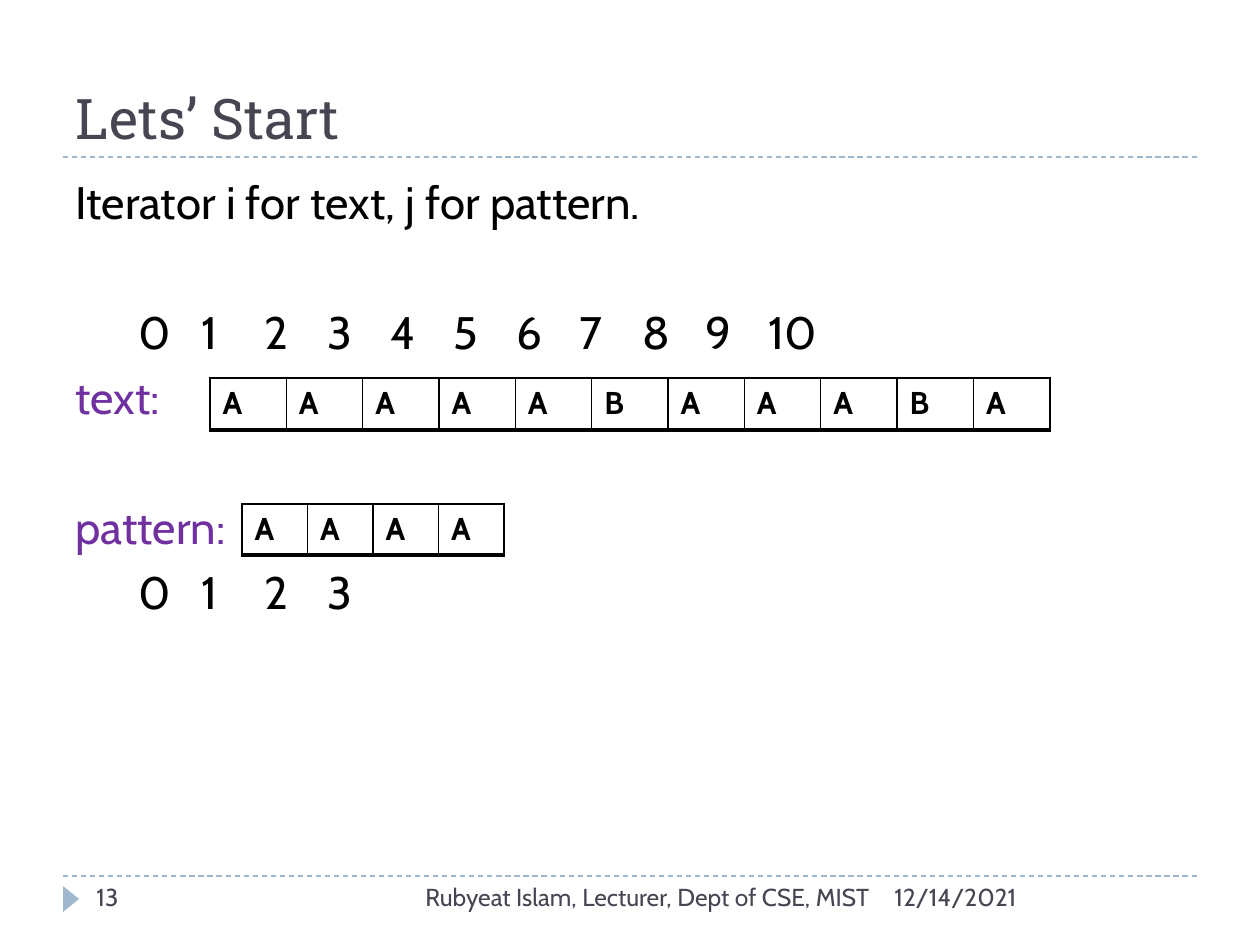
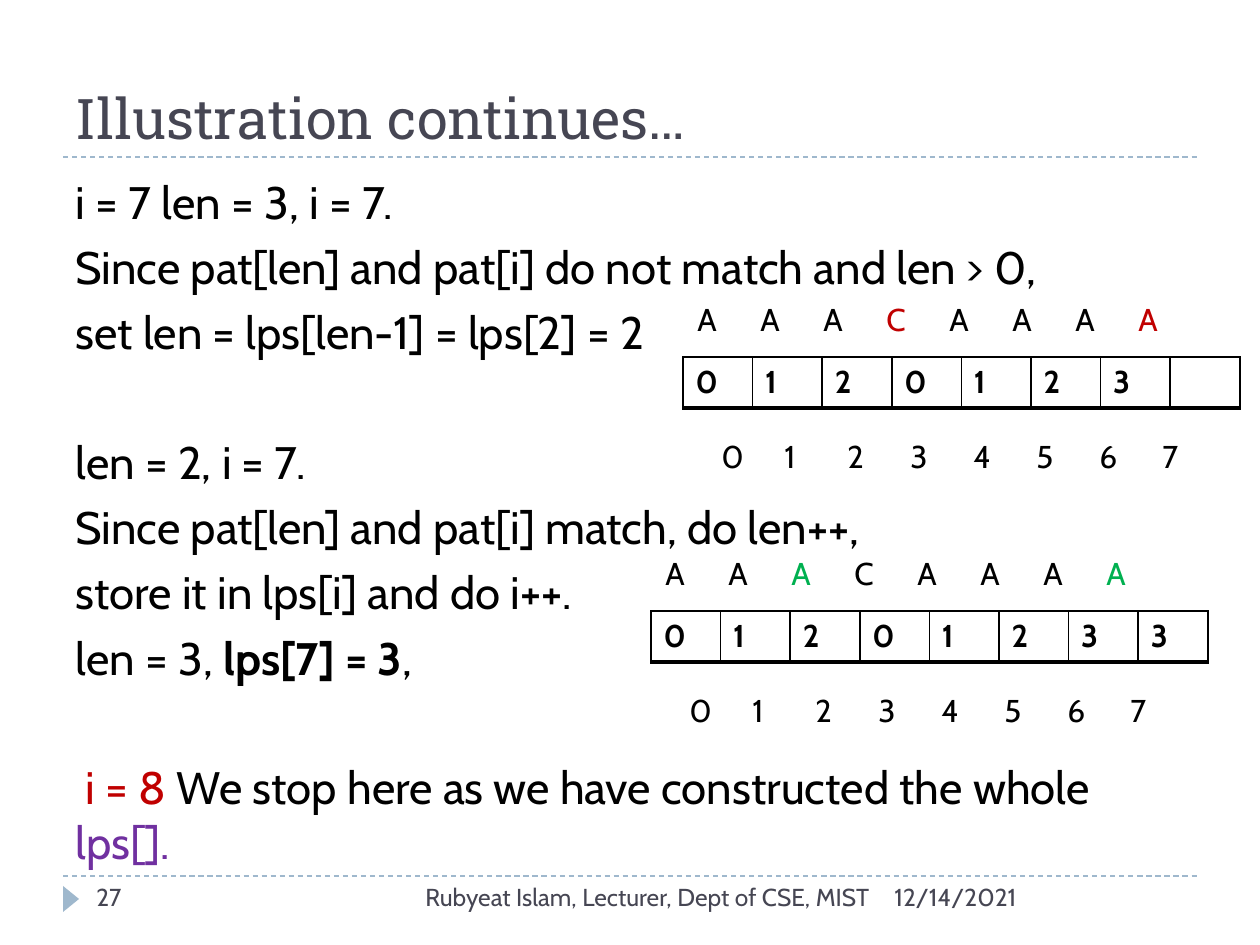
from dataclasses import dataclass

from lxml.etree import SubElement
from pptx import Presentation
from pptx.dml.color import RGBColor
from pptx.enum.dml import MSO_LINE
from pptx.enum.shapes import MSO_CONNECTOR, MSO_SHAPE
from pptx.enum.text import MSO_ANCHOR as Anchor, MSO_AUTO_SIZE as AutoSize, PP_ALIGN as Align
from pptx.oxml.ns import qn
from pptx.util import Emu, Pt

PX = 914400 / 126
INSET = 13
COLORS = {
    "ink": "000000",
    "slate": "464653",
    "rule": "9FB8CD",
    "label": "7030A0",
    "mismatch": "C00000",
    "match": "00B050",
}
TITLE_FONT, BODY_FONT = "Roboto Slab", "Cabin"
TITLE_SIZE, BODY_SIZE, CELL_SIZE, FOOTER_SIZE = 32, 26, 18, 14
TIGHT, SKIP = 6, 43


@dataclass(frozen=True)
class Box:
    left: int
    top: int
    width: int
    height: int

    def emu(self) -> list[Emu]:
        return [px(n) for n in (self.left, self.top, self.width, self.height)]


@dataclass(frozen=True)
class Span:
    text: str
    color: str = "ink"
    bold: bool = False


@dataclass(frozen=True)
class Line:
    spans: tuple[Span, ...]
    before: int = TIGHT
    centers: tuple[int, ...] = ()


@dataclass(frozen=True)
class Cells:
    box: Box
    values: tuple[str, ...]


@dataclass(frozen=True)
class LpsState:
    left: int
    top: int
    values: tuple[str, ...]
    compared: tuple[int, int]
    accent: str


TITLE_BOX = Box(63, 21, 1134, 136)
BODY_BOX = Box(63, 168, 1134, 680)
RULE_TOPS = (157, 876)
RULE_SPAN = (63, 1197)
MARKER_BOX = Box(58, 891, 26, 16)
FOOTER_TOP, FOOTER_HEIGHT = 876, 50
AUTHOR = "Rubyeat Islam, Lecturer, Dept of CSE, MIST"
DATE = "12/14/2021"

LPS_PATTERN = "AAACAAAA"
LPS_WIDTH, ROW_HEIGHT = 557, 51
LETTER_CENTERS = (77, 139, 201, 263, 325, 394, 456)
INDEX_CENTERS = (76, 133, 199, 259, 312, 372, 438)


def px(length: float) -> Emu:
    return Emu(round(length * PX))


def rgb(name: str) -> RGBColor:
    return RGBColor.from_string(COLORS[name])


def style_run(run, size: int, color: str, bold: bool = False, face: str = BODY_FONT) -> None:
    run.font.name = face
    run.font.size = Pt(size)
    run.font.bold = bold
    run.font.color.rgb = rgb(color)


def write_line(paragraph, line: Line, size: int, origin: int, first: bool = False) -> None:
    properties = paragraph._p.get_or_add_pPr()
    properties.set("marL", "0")
    properties.set("indent", "0")
    SubElement(properties, qn("a:buNone"))
    if line.centers:
        stops = SubElement(properties, qn("a:tabLst"))
        for center in line.centers:
            SubElement(stops, qn("a:tab"), pos=str(px(center - origin)), algn="ctr")
    paragraph.alignment = Align.LEFT
    paragraph.space_before = Pt(0 if first else line.before)
    for span in line.spans:
        run = paragraph.add_run()
        run.text = span.text
        style_run(run, size, span.color, span.bold)


def plain(text: str, before: int = TIGHT, color: str = "ink") -> Line:
    return Line((Span(text, color),), before)


def index_line(centers: tuple[int, ...], before: int = TIGHT) -> Line:
    numbers = "".join(f"\t{index}" for index in range(len(centers)))
    return Line((Span(numbers),), before, centers)


def add_label(slide, box: Box, text: str, align: Align = Align.LEFT) -> None:
    frame = slide.shapes.add_textbox(*box.emu()).text_frame
    frame.word_wrap = True
    frame.text = text
    frame.paragraphs[0].alignment = align
    style_run(frame.paragraphs[0].runs[0], FOOTER_SIZE, "slate")


def add_rule(slide, top: int) -> None:
    left, right = RULE_SPAN
    rule = slide.shapes.add_connector(MSO_CONNECTOR.STRAIGHT, px(left), px(top), px(right), px(top))
    rule.line.color.rgb = rgb("rule")
    rule.line.width = Pt(0.75)
    rule.line.dash_style = MSO_LINE.DASH
    SubElement(rule._element.spPr, qn("a:effectLst"))


def add_footer(slide, number: int) -> None:
    marker = slide.shapes.add_shape(MSO_SHAPE.ISOSCELES_TRIANGLE, *MARKER_BOX.emu())
    marker.rotation = 90
    marker.shadow.inherit = False
    marker.fill.solid()
    marker.fill.fore_color.rgb = rgb("rule")
    marker.line.fill.background()
    add_label(slide, Box(882, FOOTER_TOP, 315, FOOTER_HEIGHT), DATE)
    add_label(slide, Box(399, FOOTER_TOP, 483, FOOTER_HEIGHT), AUTHOR, Align.RIGHT)
    add_label(slide, Box(84, FOOTER_TOP, 273, FOOTER_HEIGHT), str(number))


def place(placeholder, box: Box, anchor: Anchor):
    placeholder.left, placeholder.top, placeholder.width, placeholder.height = box.emu()
    frame = placeholder.text_frame
    frame.word_wrap = True
    frame.auto_size = AutoSize.NONE
    frame.vertical_anchor = anchor
    return frame


def add_lesson(deck, title: str, number: int, lines: tuple[Line, ...]):
    slide = deck.slides.add_slide(deck.slide_layouts[1])
    heading = place(slide.shapes.title, TITLE_BOX, Anchor.BOTTOM)
    heading.text = title
    heading.paragraphs[0].alignment = Align.LEFT
    style_run(heading.paragraphs[0].runs[0], TITLE_SIZE, "slate", face=TITLE_FONT)
    body = place(slide.placeholders[1], BODY_BOX, Anchor.TOP)
    for position, line in enumerate(lines):
        paragraph = body.add_paragraph() if position else body.paragraphs[0]
        write_line(paragraph, line, BODY_SIZE, BODY_BOX.left + INSET, position == 0)
    for top in RULE_TOPS:
        add_rule(slide, top)
    add_footer(slide, number)
    return slide


def border_cell(cell) -> None:
    properties = cell._tc.get_or_add_tcPr()
    for side, points in (("L", 1), ("R", 1), ("T", 1), ("B", 2)):
        edge = SubElement(properties, qn(f"a:ln{side}"), w=str(Pt(points)))
        fill = SubElement(edge, qn("a:solidFill"))
        SubElement(fill, qn("a:srgbClr"), val=COLORS["ink"])
    cell.fill.background()


def add_cells(slide, cells: Cells) -> None:
    count = len(cells.values)
    table = slide.shapes.add_table(1, count, *cells.box.emu()).table
    table.first_row = False
    table.horz_banding = False
    for column, value in enumerate(cells.values):
        table.columns[column].width = px(cells.box.width / count)
        cell = table.cell(0, column)
        border_cell(cell)
        cell.text_frame.text = value
        for run in cell.text_frame.paragraphs[0].runs:
            style_run(run, CELL_SIZE, "ink", True)


def add_tabbed_row(slide, box: Box, line: Line) -> None:
    frame = slide.shapes.add_textbox(*box.emu()).text_frame
    frame.word_wrap = True
    write_line(frame.paragraphs[0], line, CELL_SIZE, INSET, True)


def add_lps_state(slide, state: LpsState) -> None:
    add_cells(slide, Cells(Box(state.left, state.top, LPS_WIDTH, ROW_HEIGHT), state.values))
    letters = tuple(
        Span(
            f"\t{letter}" if index else letter,
            state.accent if index in state.compared else "ink",
        )
        for index, letter in enumerate(LPS_PATTERN)
    )
    indices = "\t".join(str(index) for index in range(len(LPS_PATTERN)))
    add_tabbed_row(
        slide,
        Box(state.left + 2, state.top - 63, 548, 50),
        Line(letters, centers=LETTER_CENTERS),
    )
    add_tabbed_row(
        slide,
        Box(state.left + 26, state.top + 74, 524, 50),
        Line((Span(indices),), centers=INDEX_CENTERS),
    )


def main() -> None:
    deck = Presentation()
    deck.slide_width, deck.slide_height = px(1260), px(945)

    start = add_lesson(deck, "Lets’ Start", 13, (
        plain("Iterator i for text, j for pattern."),
        index_line((214, 278, 340, 405, 471, 547, 614, 689, 756, 822, 900), SKIP),
        plain("text:", color="label"),
        plain("pattern:", SKIP, "label"),
        index_line((234, 299, 349, 415)),
    ))
    add_cells(start, Cells(Box(210, 378, 840, 52), tuple("AAAAABAAABA")))
    add_cells(start, Cells(Box(242, 504, 262, ROW_HEIGHT), tuple("AAAA")))

    illustration = add_lesson(deck, "Illustration continues…", 27, (
        plain("i = 7 len = 3, i = 7."),
        plain("Since pat[len] and pat[i] do not match and len > 0,"),
        plain("set len = lps[len-1] = lps[2] = 2"),
        plain("len = 2, i = 7.", SKIP),
        plain("Since pat[len] and pat[i] match, do len++,"),
        plain("store it in lps[i] and do i++."),
        Line((Span("len = 3, "), Span("lps[7] = 3", bold=True), Span(","))),
        Line((
            Span(" "),
            Span("i = 8 ", "mismatch"),
            Span("We stop here as we have constructed the whole "),
            Span("lps[].", "label"),
        ), SKIP),
    ))
    add_lps_state(illustration, LpsState(683, 357, (*"0120123", ""), (3, 7), "mismatch"))
    add_lps_state(illustration, LpsState(651, 611, tuple("01201233"), (2, 7), "match"))

    deck.save("out.pptx")


if __name__ == "__main__":
    main()
